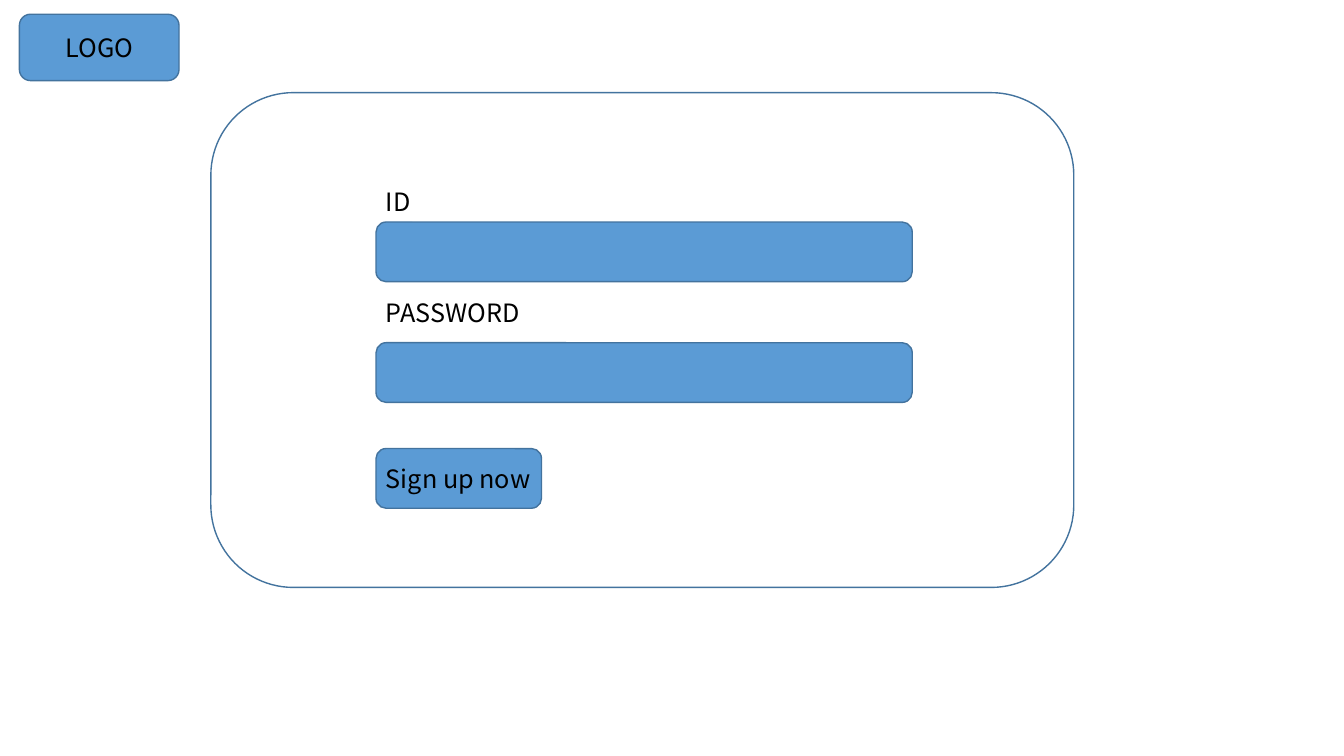
from pptx import Presentation
from pptx.dml.color import RGBColor
from pptx.enum.shapes import MSO_SHAPE
from pptx.enum.text import MSO_AUTO_SIZE, PP_ALIGN
from pptx.util import Pt

ROUNDED = MSO_SHAPE.ROUNDED_RECTANGLE
FIT_SHAPE = MSO_AUTO_SIZE.SHAPE_TO_FIT_TEXT
LEFT, CENTER = PP_ALIGN.LEFT, PP_ALIGN.CENTER

FONT = "Noto Sans CJK KR"
COLORS = {"fill": "5B9BD5", "line": "43739E", "text": "000000"}

FORM_LEFT = 268.6
FIELD_WIDTH = 383
FIELD_HEIGHT = 42.6
LABEL_WIDTH = 356.4
LABEL_HEIGHT = 29

# Label text, label top, field top
FIELDS = [
    ("ID", 129.6, 158.6),
    ("PASSWORD", 208.5, 244.8),
]


def color(name):
    return RGBColor.from_string(COLORS[name])


def add_box(s, left, top, width, height, filled=True):
    box = s.shapes.add_shape(ROUNDED, Pt(left), Pt(top), Pt(width), Pt(height))
    box.shadow.inherit = False
    if filled:
        box.fill.solid()
        box.fill.fore_color.rgb = color("fill")
    else:
        box.fill.background()
    box.line.color.rgb = color("line")
    box.line.width = Pt(1)


def add_label(s, text, left, top, width=LABEL_WIDTH, align=LEFT):
    label = s.shapes.add_textbox(Pt(left), Pt(top), Pt(width), Pt(LABEL_HEIGHT))
    tf = label.text_frame
    tf.word_wrap = True
    tf.auto_size = FIT_SHAPE
    tf.text = text
    p = tf.paragraphs[0]
    p.alignment = align
    r = p.runs[0]
    r.font.name = FONT
    r.font.size = Pt(18)
    r.font.color.rgb = color("text")


def main():
    prs = Presentation()
    prs.slide_width, prs.slide_height = Pt(960), Pt(540)
    s = prs.slides.add_slide(prs.slide_layouts[6])

    add_box(s, 13.9, 10.2, 114, 47.4)
    add_label(s, "LOGO", 30.8, 19.6, 80.4, CENTER)

    for text, label_top, field_top in FIELDS:
        add_box(s, FORM_LEFT, field_top, FIELD_WIDTH, FIELD_HEIGHT)
        add_label(s, text, FORM_LEFT, label_top)

    add_box(s, FORM_LEFT, 320.4, 118.2, FIELD_HEIGHT)
    add_label(s, "Sign up now", FORM_LEFT, 327.2)

    add_box(s, 150.6, 66.2, 616.4, 353.4, filled=False)

    prs.save("out.pptx")


if __name__ == "__main__":
    main()
